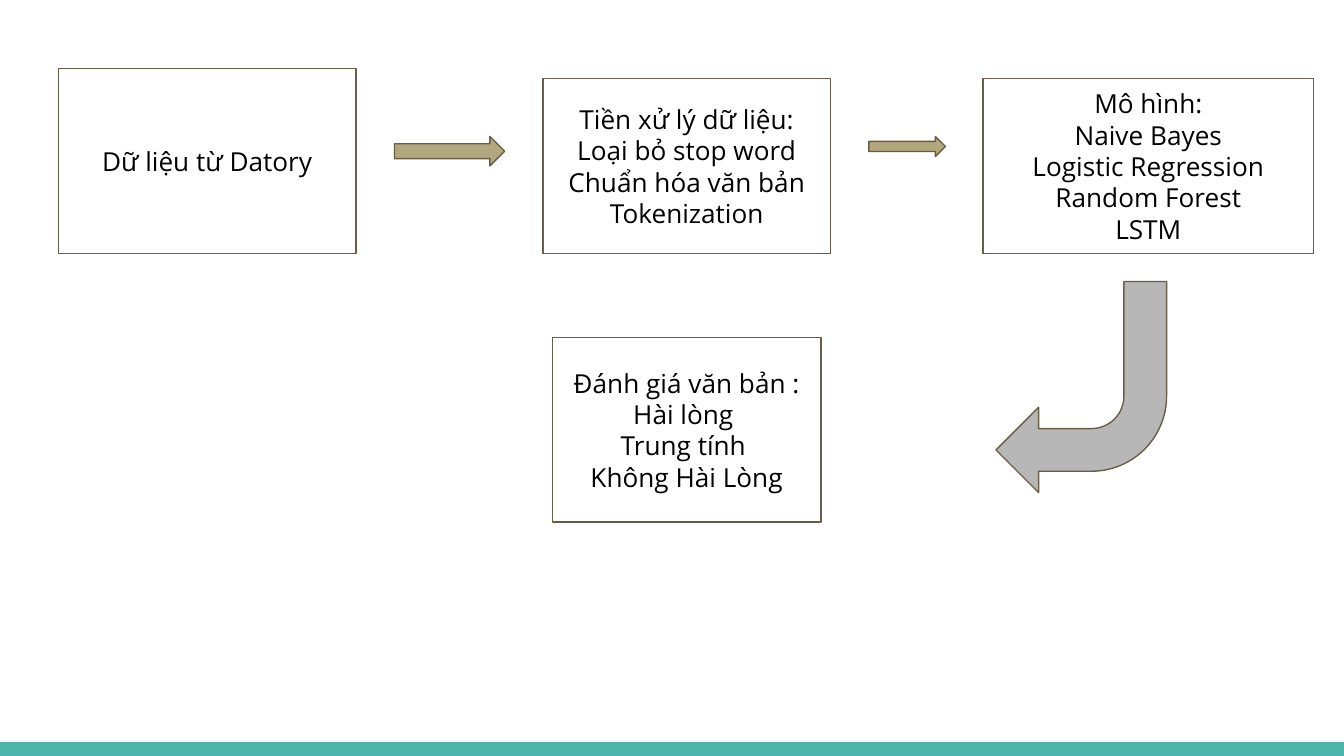
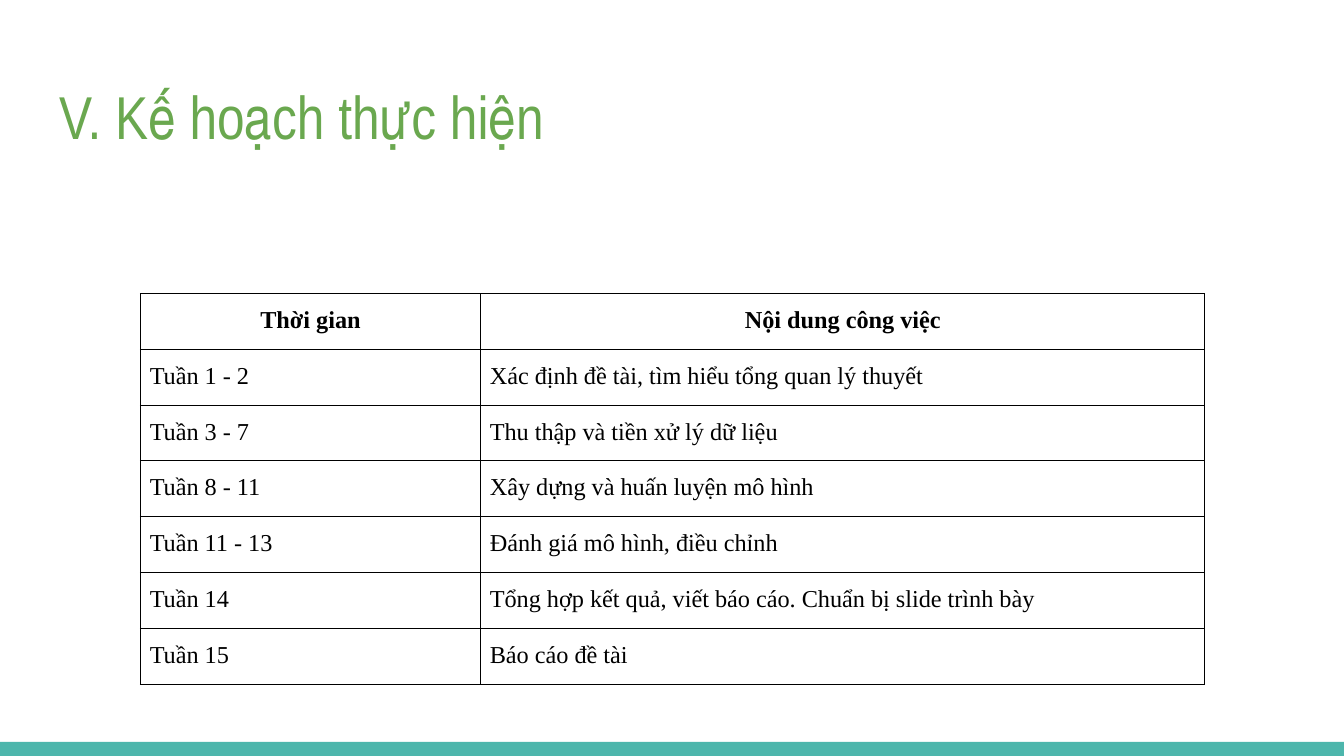
from lxml.etree import SubElement
from pptx import Presentation
from pptx.dml.color import RGBColor
from pptx.enum.shapes import MSO_SHAPE
from pptx.enum.text import MSO_ANCHOR, MSO_AUTO_SIZE, PP_ALIGN
from pptx.oxml.ns import qn
from pptx.util import Emu, Pt

PX = 4572  # 200 px to the inch
SLIDE_WIDTH, SLIDE_HEIGHT = 2000, 1125
BAND_HEIGHT = 21
TITLE_ONLY, BLANK = 5, 6

WHITE = RGBColor(0xFF, 0xFF, 0xFF)
BLACK = RGBColor(0x00, 0x00, 0x00)
TEAL = RGBColor(0x4D, 0xB6, 0xAC)
BROWN = RGBColor(0x69, 0x5D, 0x46)
SAND = RGBColor(0xB3, 0xA7, 0x7D)
GREY = RGBColor(0xB7, 0xB7, 0xB7)
GREEN = RGBColor(0x6A, 0xA8, 0x4F)

DATA_STAGE = (87, 102, 443, 275), ["Dữ liệu từ Datory"]
CLEANING_STAGE = (808, 117, 428, 260), [
    "Tiền xử lý dữ liệu:", "Loại bỏ stop word", "Chuẩn hóa văn bản",
    "Tokenization"]
MODEL_STAGE = (1463, 117, 492, 260), [
    "Mô hình:", "Naive Bayes", "Logistic Regression", "Random Forest", "LSTM"]
RATING_STAGE = (822, 502, 400, 275), [
    "Đánh giá văn bản :", "Hài lòng ", "Trung tính ", "Không Hài Lòng"]

SCHEDULE = [
    ("Thời gian", "Nội dung công việc"),
    ("Tuần 1 - 2", "Xác định đề tài, tìm hiểu tổng quan lý thuyết"),
    ("Tuần 3 - 7", "Thu thập và tiền xử lý dữ liệu"),
    ("Tuần 8 - 11", "Xây dựng và huấn luyện mô hình"),
    ("Tuần 11 - 13", "Đánh giá mô hình, điều chỉnh"),
    ("Tuần 14", "Tổng hợp kết quả, viết báo cáo. Chuẩn bị slide trình bày"),
    ("Tuần 15", "Báo cáo đề tài"),
]
SCHEDULE_COLUMNS = (506, 1078)
SCHEDULE_ROW = 83


def px(*lengths):
    return [Emu(length * PX) for length in lengths]


def add_run(paragraph, text, font, size, color, bold=False):
    run = paragraph.add_run()
    run.text = text
    run.font.name = font
    run.font.size = Pt(size)
    run.font.color.rgb = color
    run.font.bold = bold


def set_insets(target, inset):
    """Give a text frame or a table cell the same margin on every side."""
    margin, = px(inset)
    target.margin_left = target.margin_right = margin
    target.margin_top = target.margin_bottom = margin


def add_figure(slide, kind, box, fill, line=BROWN):
    figure = slide.shapes.add_shape(kind, *px(*box))
    figure.shadow.inherit = False
    figure.fill.solid()
    figure.fill.fore_color.rgb = fill
    if line is None:
        figure.line.fill.background()
    else:
        figure.line.color.rgb = line
        figure.line.width = Pt(0.75)
    return figure


def add_stage(slide, box, lines):
    frame = add_figure(slide, MSO_SHAPE.RECTANGLE, box, WHITE).text_frame
    frame.word_wrap = True
    frame.vertical_anchor = MSO_ANCHOR.MIDDLE
    set_insets(frame, 20)
    for index, line in enumerate(lines):
        paragraph = frame.add_paragraph() if index else frame.paragraphs[0]
        paragraph.alignment = PP_ALIGN.CENTER
        add_run(paragraph, line, "Open Sans", 14, BLACK)


def add_next_arrow(slide, box):
    add_figure(slide, MSO_SHAPE.RIGHT_ARROW, box, SAND)


def add_return_arrow(slide, box):
    arrow = add_figure(slide, MSO_SHAPE.BENT_ARROW, box, GREY)
    arrow.rotation = 180
    for index, value in enumerate((0.25, 0.25, 0.25, 0.44)):
        arrow.adjustments[index] = value


def add_master_band(prs, slide):
    """Draw the bottom band on a slide, then move it to the slide master."""
    box = (0, SLIDE_HEIGHT - BAND_HEIGHT, SLIDE_WIDTH, BAND_HEIGHT)
    band = add_figure(slide, MSO_SHAPE.RECTANGLE, box, TEAL, line=None)
    prs.slide_master.element.cSld.spTree.append(band.element)


def set_title(slide, text):
    title = slide.shapes.title
    title.left, title.top, title.width, title.height = px(68, 98, 1864, 154)
    frame = title.text_frame
    frame.word_wrap = True
    frame.auto_size = MSO_AUTO_SIZE.NONE
    frame.vertical_anchor = MSO_ANCHOR.TOP
    set_insets(frame, 20)
    frame.paragraphs[0].alignment = PP_ALIGN.LEFT
    add_run(frame.paragraphs[0], text, "Arial Narrow", 32.4, GREEN)


def set_borders(cell, color, width):
    properties = cell._tc.get_or_add_tcPr()
    for index, side in enumerate(("a:lnL", "a:lnR", "a:lnT", "a:lnB")):
        border = properties.makeelement(qn(side), {"w": str(Pt(width))})
        properties.insert(index, border)
        solid = SubElement(border, qn("a:solidFill"))
        SubElement(solid, qn("a:srgbClr"), val=str(color))


def fill_cell(cell, text, is_header):
    cell.fill.background()
    set_insets(cell, 14)
    set_borders(cell, BLACK, 0.6)
    paragraph = cell.text_frame.paragraphs[0]
    paragraph.alignment = PP_ALIGN.CENTER if is_header else PP_ALIGN.LEFT
    paragraph.line_spacing = 1.15
    paragraph.space_before = paragraph.space_after = Pt(12)
    add_run(paragraph, text, "Times New Roman", 13, BLACK, is_header)


def add_schedule(slide, left, top):
    box = px(left, top, sum(SCHEDULE_COLUMNS), SCHEDULE_ROW * len(SCHEDULE))
    table = slide.shapes.add_table(len(SCHEDULE), len(SCHEDULE_COLUMNS), *box).table
    table.first_row = table.horz_banding = False
    for column, width in zip(table.columns, px(*SCHEDULE_COLUMNS)):
        column.width = width
    for row, texts in enumerate(SCHEDULE):
        for column, text in enumerate(texts):
            fill_cell(table.cell(row, column), text, is_header=row == 0)


def main():
    prs = Presentation()
    prs.slide_width, prs.slide_height = px(SLIDE_WIDTH, SLIDE_HEIGHT)

    pipeline = prs.slides.add_slide(prs.slide_layouts[BLANK])
    add_master_band(prs, pipeline)
    add_stage(pipeline, *DATA_STAGE)
    add_next_arrow(pipeline, (587, 203, 164, 44))
    add_stage(pipeline, *CLEANING_STAGE)
    add_next_arrow(pipeline, (1293, 203, 114, 30))
    add_stage(pipeline, *MODEL_STAGE)
    add_return_arrow(pipeline, (1482, 419, 254, 314))
    add_stage(pipeline, *RATING_STAGE)

    plan = prs.slides.add_slide(prs.slide_layouts[TITLE_ONLY])
    set_title(plan, "V. Kế hoạch thực hiện")
    add_schedule(plan, 209, 437)

    prs.save("out.pptx")


if __name__ == "__main__":
    main()
